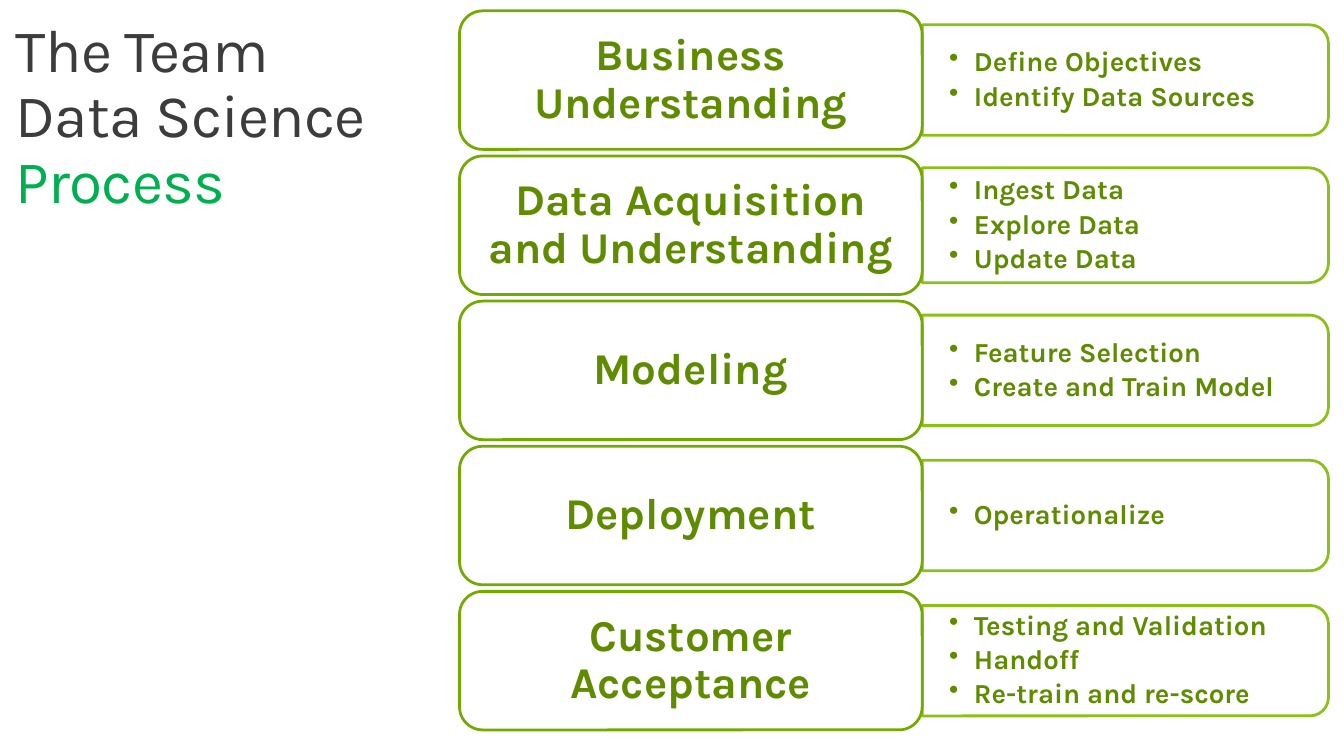
from typing import NamedTuple

from lxml import etree
from pptx import Presentation
from pptx import util as u
from pptx.dml.color import RGBColor
from pptx.enum import shapes, text
from pptx.oxml import ns

FONT = "Karla"
GREEN = "5F8B00"
TOP, PITCH = 0.28, 3.73
LEFT, WIDE, HIGH = 11.81, 11.89, 3.56
SIDE = LEFT + WIDE
LONG = 10.44


class Stage(NamedTuple):
    name: str
    tasks: list[str]
    deep: float = 2.84


STAGES = [
    Stage("Business Understanding",
          ["Define Objectives", "Identify Data Sources"]),
    Stage("Data Acquisition and Understanding",
          ["Ingest Data", "Explore Data", "Update Data"], 2.95),
    Stage("Modeling", ["Feature Selection", "Create and Train Model"]),
    Stage("Deployment", ["Operationalize"]),
    Stage("Customer Acceptance",
          ["Testing and Validation", "Handoff", "Re-train and re-score"]),
]


def color(code: str) -> RGBColor:
    return RGBColor.from_string(code)


def fade(fill, share: int) -> None:
    """Set the opacity of a solid fill, in percent."""
    tone = fill._xPr.find(".//" + ns.qn("a:srgbClr"))
    etree.SubElement(tone, ns.qn("a:alpha"), val=str(share * 1000))


def frame(shape, x: float, y: float, middle: bool = True):
    """Prepare the text frame with side margin x and top margin y."""
    area = shape.text_frame
    area.word_wrap = True
    area.margin_left = area.margin_right = u.Cm(x)
    area.margin_top = area.margin_bottom = u.Cm(y)
    area.vertical_anchor = (
        text.MSO_ANCHOR.MIDDLE if middle else text.MSO_ANCHOR.TOP)
    return area


def write(para, words: str, *, size: float, tint: str = GREEN,
          bold: bool = False, center: bool = False, after: float = 0,
          track: int = 0, bullet: bool = False) -> None:
    para.line_spacing = 0.9
    para.space_after = u.Pt(after)
    para.alignment = text.PP_ALIGN.CENTER if center else text.PP_ALIGN.LEFT
    run = para.add_run()
    run.text = words
    font = run.font
    font.name, font.size, font.bold = FONT, u.Pt(size), bold
    font.color.rgb = color(tint)
    if track:
        font._element.set("spc", str(track))
    if bullet:
        props = para._p.get_or_add_pPr()
        props.set("marL", str(u.Cm(0.64)))
        props.set("indent", str(u.Cm(-0.64)))
        etree.SubElement(props, ns.qn("a:buChar"), char="•")


def outline(slide, kind, x: float, y: float, w: float, h: float, edge: str):
    shape = slide.shapes.add_shape(kind, u.Cm(x), u.Cm(y), u.Cm(w), u.Cm(h))
    shape.shadow.inherit = False
    shape.fill.solid()
    shape.fill.fore_color.rgb = color("FFFFFF")
    shape.line.color.rgb = color(edge)
    shape.line.width = u.Pt(2)
    return shape


def panel(slide, stage: Stage, mid: float) -> None:
    """Draw the task list to the right of a stage, centred on mid."""
    shape = outline(slide, shapes.MSO_SHAPE.ROUND_2_SAME_RECTANGLE,
                    SIDE + (LONG - stage.deep) / 2, mid - LONG / 2,
                    stage.deep, LONG, "7FBA00")
    shape.rotation = 90
    fade(shape.fill, 90)
    fade(shape.line.fill, 90)
    deep = stage.deep - 0.29
    box = slide.shapes.add_textbox(
        u.Cm(SIDE), u.Cm(mid - deep / 2), u.Cm(10.29), u.Cm(deep))
    area = frame(box, 0.69, 0.36)
    for i, task in enumerate(stage.tasks):
        para = area.add_paragraph() if i else area.paragraphs[0]
        write(para, task, size=20, bold=True, after=3.5, bullet=True)


def block(slide, stage: Stage, top: float) -> None:
    """Draw the named box of a stage."""
    shape = outline(slide, shapes.MSO_SHAPE.ROUNDED_RECTANGLE,
                    LEFT, top, WIDE, HIGH, "73A900")
    area = frame(shape, 0.33, 0.18)
    write(area.paragraphs[0], stage.name, size=32, bold=True, center=True)


def title(slide) -> None:
    box = slide.shapes.add_textbox(
        u.Cm(0), u.Cm(TOP), u.Cm(9.8), u.Cm(5.74))
    para = frame(box, 0.41, 0.25, middle=False).paragraphs[0]
    for words, tint in (("The Team Data Science ", "3C3C3C"),
                        ("Process", "00B050")):
        write(para, words, size=44, tint=tint, track=-60)


def main() -> None:
    deck = Presentation()
    deck.slide_width, deck.slide_height = u.Cm(34.54), u.Cm(19.43)
    slide = deck.slides.add_slide(deck.slide_layouts[6])
    title(slide)
    for i, stage in enumerate(STAGES):
        top = TOP + i * PITCH
        panel(slide, stage, top + HIGH / 2)
        block(slide, stage, top)
    deck.save("out.pptx")


if __name__ == "__main__":
    main()
